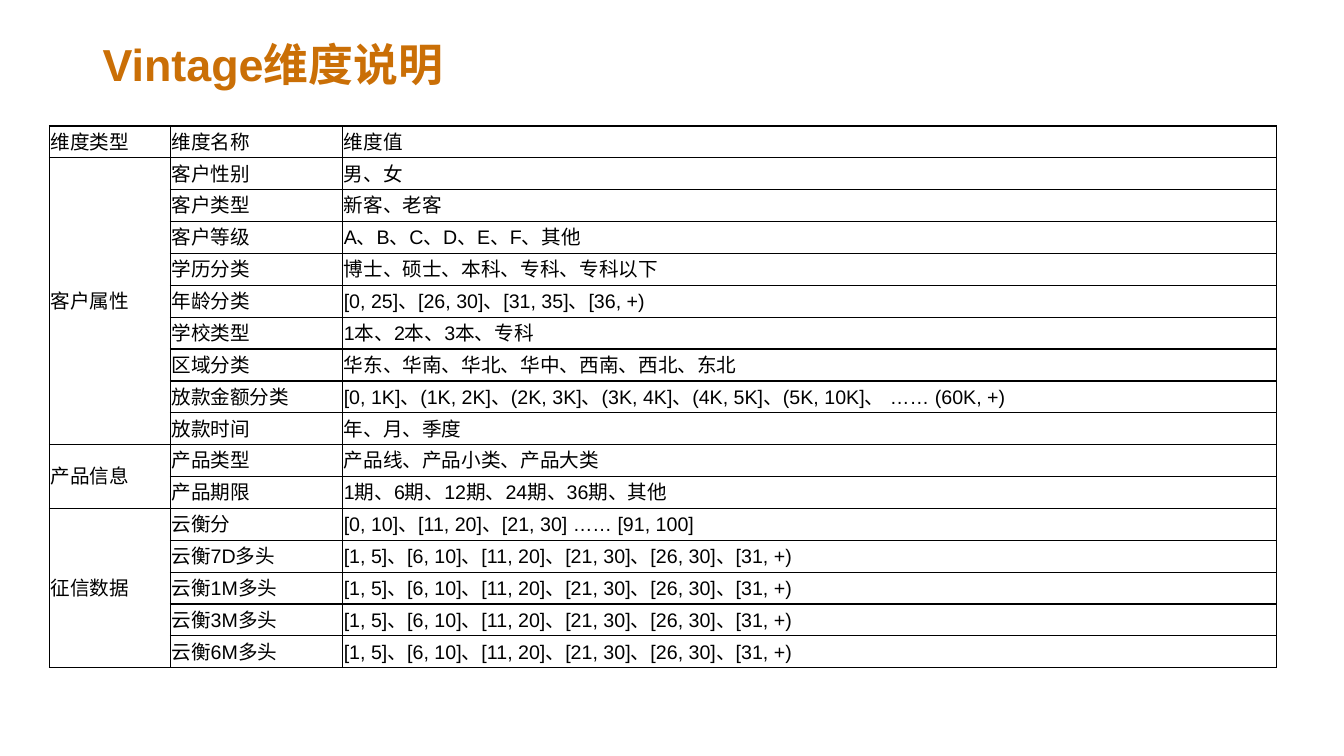
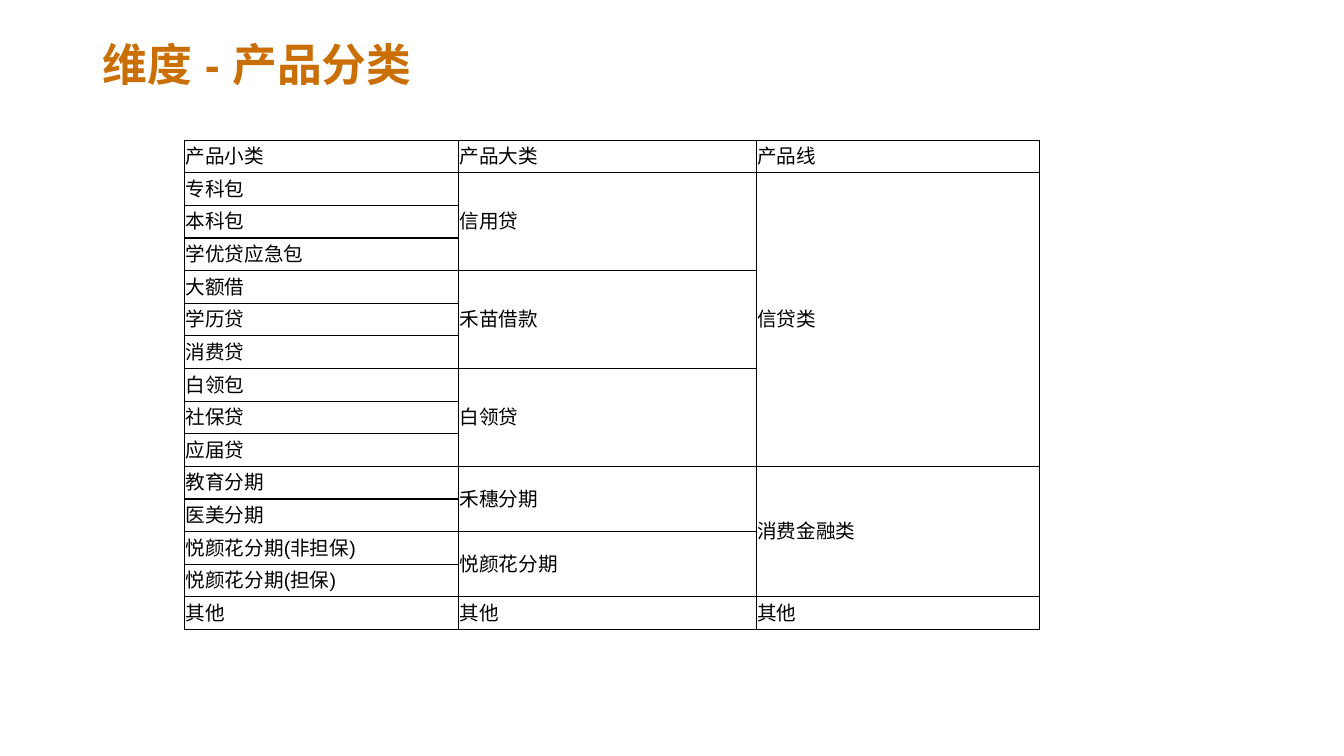
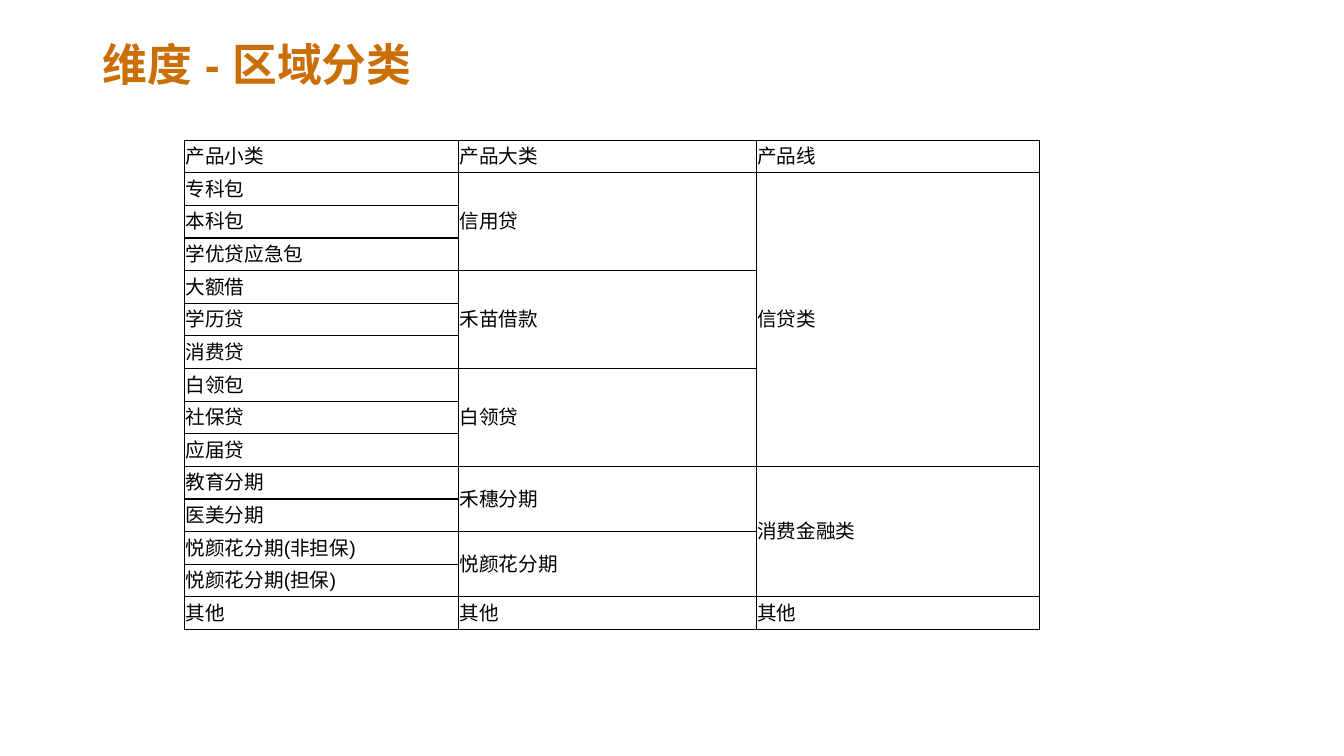
from dataclasses import dataclass
from itertools import product

from lxml.etree import SubElement
from pptx import Presentation
from pptx.dml.color import RGBColor
from pptx.enum.lang import MSO_LANGUAGE_ID as Language
from pptx.enum.text import MSO_VERTICAL_ANCHOR as Anchor
from pptx.oxml.ns import qn
from pptx.util import Inches, Pt


@dataclass(frozen=True)
class Theme:
    font: str = "Arial"
    accent: str = "CA6F06"
    ink: str = "000000"
    title_size: int = 32
    body_size: int = 14
    border: int = 1


@dataclass(frozen=True)
class Box:
    left: float
    top: float
    width: float
    height: float

    def lengths(self):
        return [Inches(v) for v in (self.left, self.top, self.width, self.height)]


THEME = Theme()
TITLE_BOX = Box(0.92, 0.4, 11.5, 0.53)
DIMENSION_BOX = Box(0.49, 1.25, 12.17, 5.38)
PRODUCT_BOX = Box(1.83, 1.39, 8.48, 4.86)
DIMENSION_WIDTHS = (1.2, 1.71, 9.26)
PRODUCT_WIDTHS = (2.72, 2.95, 2.81)
CELL_FORMAT = {
    "vertical_anchor": Anchor.MIDDLE,
    "margin_left": Inches(0.01),
    "margin_right": Inches(0.01),
    "margin_top": Inches(0.01),
    "margin_bottom": Inches(0),
}
TITLE_FORMAT = {
    "word_wrap": True,
    "vertical_anchor": Anchor.MIDDLE,
    "margin_top": Inches(0),
    "margin_bottom": Inches(0),
}

LOAN_COUNTS = "[1, 5]、[6, 10]、[11, 20]、[21, 30]、[26, 30]、[31, +)"
DIMENSIONS = [
    ("维度类型", "维度名称", "维度值"),
    ("客户属性", "客户性别", "男、女"),
    (None, "客户类型", "新客、老客"),
    (None, "客户等级", "A、B、C、D、E、F、其他"),
    (None, "学历分类", "博士、硕士、本科、专科、专科以下"),
    (None, "年龄分类", "[0, 25]、[26, 30]、[31, 35]、[36, +)"),
    (None, "学校类型", "1本、2本、3本、专科"),
    (None, "区域分类", "华东、华南、华北、华中、西南、西北、东北"),
    (None, "放款金额分类",
     "[0, 1K]、(1K, 2K]、(2K, 3K]、(3K, 4K]、(4K, 5K]、(5K, 10K]、 …… (60K, +)"),
    (None, "放款时间", "年、月、季度"),
    ("产品信息", "产品类型", "产品线、产品小类、产品大类"),
    (None, "产品期限", "1期、6期、12期、24期、36期、其他"),
    ("征信数据", "云衡分", "[0, 10]、[11, 20]、[21, 30] …… [91, 100]"),
    *((None, f"云衡{period}多头", LOAN_COUNTS) for period in ("7D", "1M", "3M", "6M")),
]
PRODUCTS = [
    ("产品小类", "产品大类", "产品线"),
    ("专科包", "信用贷", "信贷类"),
    ("本科包", None, None),
    ("学优贷应急包", None, None),
    ("大额借", "禾苗借款", None),
    ("学历贷", None, None),
    ("消费贷", None, None),
    ("白领包", "白领贷", None),
    ("社保贷", None, None),
    ("应届贷", None, None),
    ("教育分期", "禾穗分期", "消费金融类"),
    ("医美分期", None, None),
    ("悦颜花分期(非担保)", "悦颜花分期", None),
    ("悦颜花分期(担保)", None, None),
    ("其他", "其他", "其他"),
]


def set_format(target, values):
    for name, value in values.items():
        setattr(target, name, value)


def write(para, text, size, color, bold=False):
    span = para.add_run()
    span.text = text
    set_format(span.font, {
        "name": THEME.font,
        "size": Pt(size),
        "bold": bold,
        "language_id": Language.SIMPLIFIED_CHINESE,
    })
    span.font.color.rgb = RGBColor.from_string(color)
    SubElement(span.font._element, qn("a:ea"), typeface=THEME.font)


def add_title(page, box, text):
    frame = page.shapes.add_textbox(*box.lengths()).text_frame
    set_format(frame, TITLE_FORMAT)
    para = frame.paragraphs[0]
    para.line_spacing = 0.9
    write(para, text, THEME.title_size, THEME.accent, bold=True)


def add_borders(cell):
    properties = cell._tc.get_or_add_tcPr()
    for side in ("lnL", "lnR", "lnT", "lnB"):
        line = SubElement(properties, qn(f"a:{side}"), w=str(Pt(THEME.border)))
        fill = SubElement(line, qn("a:solidFill"))
        SubElement(fill, qn("a:srgbClr"), val=THEME.ink)


def span_end(rows, row, column):
    end = row
    while end + 1 < len(rows) and rows[end + 1][column] is None:
        end += 1
    return end


def add_grid(page, box, rows, widths):
    table = page.shapes.add_table(len(rows), len(widths), *box.lengths()).table
    set_format(table, {"first_row": False, "horz_banding": False})
    for column, width in zip(table.columns, widths):
        column.width = Inches(width)
    for row, column in product(range(len(rows)), range(len(widths))):
        cell = table.cell(row, column)
        set_format(cell, CELL_FORMAT)
        add_borders(cell)
        cell.fill.background()
        text = rows[row][column]
        if text is None:
            continue
        write(cell.text_frame.paragraphs[0], text, THEME.body_size, THEME.ink)
        end = span_end(rows, row, column)
        if end > row:
            cell.merge(table.cell(end, column))


def add_table_page(deck, title, box, rows, widths):
    page = deck.slides.add_slide(deck.slide_layouts[6])
    add_title(page, TITLE_BOX, title)
    add_grid(page, box, rows, widths)


deck = Presentation()
set_format(deck, {"slide_width": Inches(13.33), "slide_height": Inches(7.5)})
add_table_page(deck, "Vintage维度说明", DIMENSION_BOX, DIMENSIONS, DIMENSION_WIDTHS)
for subject in ("产品分类", "区域分类"):
    add_table_page(deck, f"维度 - {subject}", PRODUCT_BOX, PRODUCTS, PRODUCT_WIDTHS)
deck.save("out.pptx")
